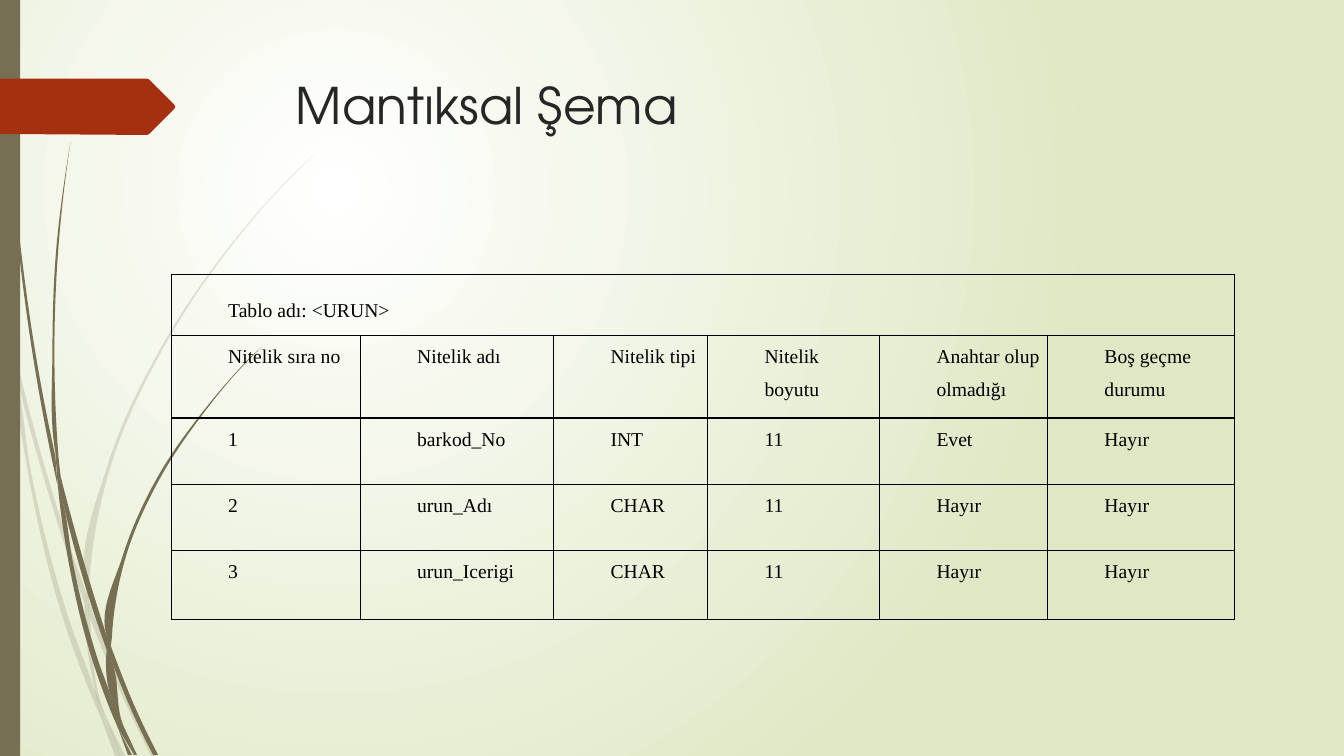
from dataclasses import dataclass

from pptx import Presentation
from pptx.dml.color import RGBColor
from pptx.enum.shapes import MSO_SHAPE
from pptx.enum.text import MSO_ANCHOR
from pptx.oxml import parse_xml
from pptx.oxml.ns import nsdecls, qn
from pptx.util import Cm, Pt


@dataclass(frozen=True)
class Theme:
    """Colours, fonts and type sizes."""
    glow: str = "FFFFFF"
    field: str = "DFE8C4"
    stem: str = "766F54"
    tag: str = "A53010"
    head: str = "262626"
    ink: str = "000000"
    head_font: str = "TeX Gyre Adventor"
    body_font: str = "Times New Roman"
    head_size: int = 36
    body_size: int = 14
    rule: int = 1


THEME = Theme()
WIDE, HIGH = 33.87, 19.05
UNIT = Cm(2.54) / 100  # drawing points are in hundredths of an inch

# Each blade is two edges that run between its tips.
PALE = [
    ([(11, 350), (9, 322), (0, 282)], [(0, 299), (10, 344), (11, 350)]),
    ([(14, 345), (62, 520), (85, 586)], [(84, 599), (58, 522), (17, 376)]),
    ([(88, 596), (92, 607), (127, 692), (155, 750)],
     [(150, 750), (123, 694), (88, 610)]),
    ([(105, 711), (124, 750)], [(119, 750), (105, 711)]),
    ([(11, 350), (17, 376), (31, 469), (70, 619), (93, 683), (101, 714)],
     [(92, 693), (65, 621), (28, 470), (11, 350)]),
    ([(84, 599), (88, 610), (91, 646), (103, 706), (105, 711)],
     [(96, 692), (87, 646), (84, 599)]),
    ([(312, 153), (289, 175), (268, 197), (228, 244), (158, 348),
      (107, 461), (85, 584), (88, 596)],
     [(88, 584), (110, 462), (160, 349), (229, 245), (268, 198),
      (290, 175), (312, 153)]),
    ([(101, 714), (119, 750)], [(114, 750), (101, 714)]),
    ([(85, 586), (88, 596), (88, 610)], [(84, 599), (85, 586)]),
    ([(93, 683), (105, 711), (119, 750)], [(101, 714), (93, 683)]),
]
DARK = [
    ([(3, 0), (7, 110), (17, 233), (33, 355), (57, 481)],
     [(55, 453), (36, 355), (19, 232), (8, 109), (4, 0)]),
    ([(60, 472), (93, 590), (106, 631)], [(106, 645), (88, 592), (64, 505)]),
    ([(110, 641), (113, 649), (136, 706), (157, 749)],
     [(152, 749), (132, 708), (111, 656)]),
    ([(57, 477), (64, 505), (72, 556), (98, 657), (110, 691), (117, 722)],
     [(111, 708), (93, 659), (68, 557), (57, 477)]),
    ([(70, 141), (62, 193), (56, 245), (52, 349), (55, 449), (60, 472)],
     [(58, 453), (54, 349), (58, 245), (63, 193), (70, 141)]),
    ([(122, 719), (136, 749)], [(133, 749), (122, 719)]),
    ([(55, 449), (60, 472), (64, 505)], [(57, 477), (55, 449)]),
    ([(260, 344), (245, 358), (231, 373), (204, 405), (156, 474),
      (122, 551), (106, 631), (110, 641)],
     [(111, 633), (125, 552), (158, 476), (205, 406), (231, 374),
      (245, 359), (260, 344)]),
    ([(117, 722), (131, 749)], [(127, 749), (117, 722)]),
    ([(106, 645), (111, 656), (121, 716), (122, 719)],
     [(116, 706), (110, 691), (106, 645)]),
    ([(106, 631), (110, 641), (111, 656)], [(106, 645), (106, 631)]),
    ([(110, 691), (122, 719), (133, 749)], [(117, 722), (110, 691)]),
]
TAG = [(0, 0), (146, 0), (148, 1), (173, 26), (174, 28), (173, 30),
       (148, 55), (146, 56), (0, 55)]

COLS = [4.76, 4.87, 3.88, 4.33, 4.23, 4.71]
ROWS = [1.55, 2.08, 1.67, 1.67, 1.74]
CELLS = [
    ["Tablo adı: <URUN>"],
    ["Nitelik sıra no", "Nitelik adı", "Nitelik tipi", "Nitelik boyutu",
     "Anahtar olup olmadığı", "Boş geçme durumu"],
    ["1", "barkod_No", "INT", "11", "Evet", "Hayır"],
    ["2", "urun_Adı", "CHAR", "11", "Hayır", "Hayır"],
    ["3", "urun_Icerigi", "CHAR", "11", "Hayır", "Hayır"],
]


def paint(shape, color, alpha=None):
    """Fill a shape flat, with no line or shadow."""
    shape.shadow.inherit = False
    shape.line.fill.background()
    shape.fill.solid()
    shape.fill.fore_color.rgb = RGBColor.from_string(color)
    if alpha:
        tint = shape.fill._xPr.find(".//" + qn("a:srgbClr"))
        tint.append(parse_xml(f'<a:alpha {nsdecls("a")} val="{alpha * 1000}"/>'))


def style(para, font, size, color):
    """Format all runs of a paragraph."""
    for run in para.runs:
        run.font.name = font
        run.font.size = Pt(size)
        run.font.color.rgb = RGBColor.from_string(color)


def bend(edge):
    """Return the two handles and the end of each curve of an edge."""
    dots = [complex(*dot) for dot in edge]
    gaps = [abs(b - a) for a, b in zip(dots, dots[1:])]
    dirs = [(b - a) / g for a, b, g in zip(dots, dots[1:], gaps)]
    mids = [(s * h + t * g) / (g + h)
            for s, t, g, h in zip(dirs, dirs[1:], gaps, gaps[1:])]
    if mids:
        turns = [2 * dirs[0] - mids[0], *mids, 2 * dirs[-1] - mids[-1]]
    else:
        turns = dirs * 2
    return [(a + s * g / 3, b - t * g / 3, b) for a, b, s, t, g
            in zip(dots, dots[1:], turns, turns[1:], gaps)]


def outline(shapes, dots, left, top):
    """Draw a closed outline from a corner."""
    ends = [(Cm(left) + x * UNIT, Cm(top) + y * UNIT) for x, y in dots]
    pen = shapes.build_freeform(*ends[0], scale=1.0)
    pen.add_line_segments(ends[1:], close=True)
    return pen.convert_to_shape()


def blade(shapes, down, back, left, top):
    """Draw a blade with both edges curved."""
    joint = down[-1] == back[0]
    dots = down + back[joint:]
    shape = outline(shapes, dots, left, top)
    low = complex(min(x for x, y in dots), min(y for x, y in dots))
    lines = shape._element.findall(".//" + qn("a:lnTo"))
    curves = bend(down) + [None] * (not joint) + bend(back)
    for line, arc in zip(lines, curves):
        if arc:
            marks = [(dot - low) * UNIT for dot in arc]
            pts = "".join(f'<a:pt x="{round(m.real)}" y="{round(m.imag)}"/>'
                          for m in marks)
            line.getparent().replace(line, parse_xml(
                f'<a:cubicBezTo {nsdecls("a")}>{pts}</a:cubicBezTo>'))
    return shape


def backdrop(slide):
    """Give the slide its round glow."""
    fill = slide.background.fill
    fill.gradient()
    for stop, color in zip(fill.gradient_stops, (THEME.glow, THEME.field)):
        stop.color.rgb = RGBColor.from_string(color)
    grad = slide._element.find(".//" + qn("a:gradFill"))
    grad.replace(grad.find(qn("a:lin")), parse_xml(
        f'<a:path {nsdecls("a")} path="circle"><a:fillToRect l="50000" '
        't="50000" r="100000" b="100000"/></a:path>'))


def tuft(slide, blades, left, top, alpha=None):
    """Draw a group of grass blades."""
    group = slide.shapes.add_group_shape()
    for down, back in blades:
        paint(blade(group.shapes, down, back, left, top), THEME.stem, alpha)


def margin(slide, left, top, width, height):
    """Draw the side bar and the tag on it."""
    bar = slide.shapes.add_shape(
        MSO_SHAPE.RECTANGLE, Cm(left), Cm(top), Cm(width), Cm(height))
    paint(bar, THEME.stem)
    paint(outline(slide.shapes, TAG, left, top + 1.98), THEME.tag)


def title(slide, text, left, top, width, height):
    """Write the slide title."""
    box = slide.shapes.add_textbox(Cm(left), Cm(top), Cm(width), Cm(height))
    frame = box.text_frame
    frame.word_wrap = True
    frame.text = text
    style(frame.paragraphs[0], THEME.head_font, THEME.head_size, THEME.head)


def border(cell):
    """Clear a cell's fill and rule its four sides."""
    cell.fill.background()
    props = cell._tc.get_or_add_tcPr()
    for i, side in enumerate("LRTB"):
        props.insert(i, parse_xml(
            f'<a:ln{side} {nsdecls("a")} w="{Pt(THEME.rule)}"><a:solidFill>'
            f'<a:srgbClr val="{THEME.ink}"/></a:solidFill></a:ln{side}>'))


def schema(slide, left, top, width, height):
    """Draw the table of attributes."""
    table = slide.shapes.add_table(
        len(ROWS), len(COLS), Cm(left), Cm(top), Cm(width), Cm(height)).table
    table.first_row = table.horz_banding = False
    for col, size in zip(table.columns, COLS):
        col.width = Cm(size * width / sum(COLS))
    for row, size in zip(table.rows, ROWS):
        row.height = Cm(size * height / sum(ROWS))
    for cell in table.iter_cells():
        border(cell)
    table.cell(0, 0).merge(table.cell(0, len(COLS) - 1))
    table.cell(0, 0).vertical_anchor = MSO_ANCHOR.MIDDLE
    for r, words in enumerate(CELLS):
        for c, word in enumerate(words):
            cell = table.cell(r, c)
            cell.margin_left = cell.margin_right = Cm(0.16)
            cell.margin_top = cell.margin_bottom = 0
            para = cell.text_frame.paragraphs[0]
            para.text = word
            para.line_spacing = 1.5
            para._p.get_or_add_pPr().set("marL", str(Cm(1.27)))
            style(para, THEME.body_font, THEME.body_size, THEME.ink)


def main():
    """Build and save the slide."""
    deck = Presentation()
    deck.slide_width, deck.slide_height = Cm(WIDE), Cm(HIGH)
    slide = deck.slides.add_slide(deck.slide_layouts[6])
    backdrop(slide)
    tuft(slide, PALE, 0, 0, alpha=20)
    tuft(slide, DARK, 0, 0)
    margin(slide, 0, 0, 0.51, HIGH)
    title(slide, "Mantıksal Şema", 7.21, 1.75, 24.77, 3.56)
    schema(slide, 4.32, 6.91, 26.8, 8.7)
    deck.save("out.pptx")


main()
